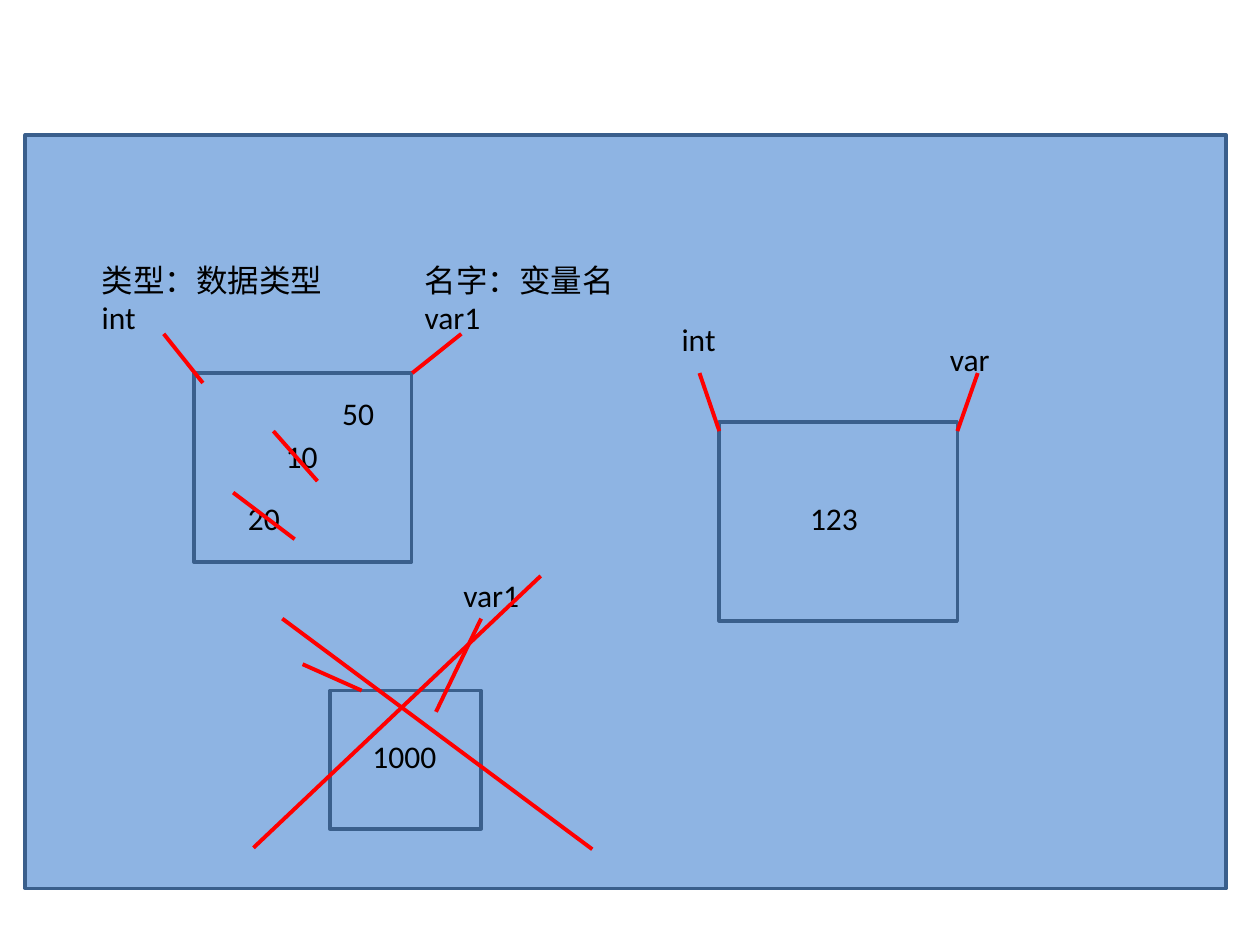
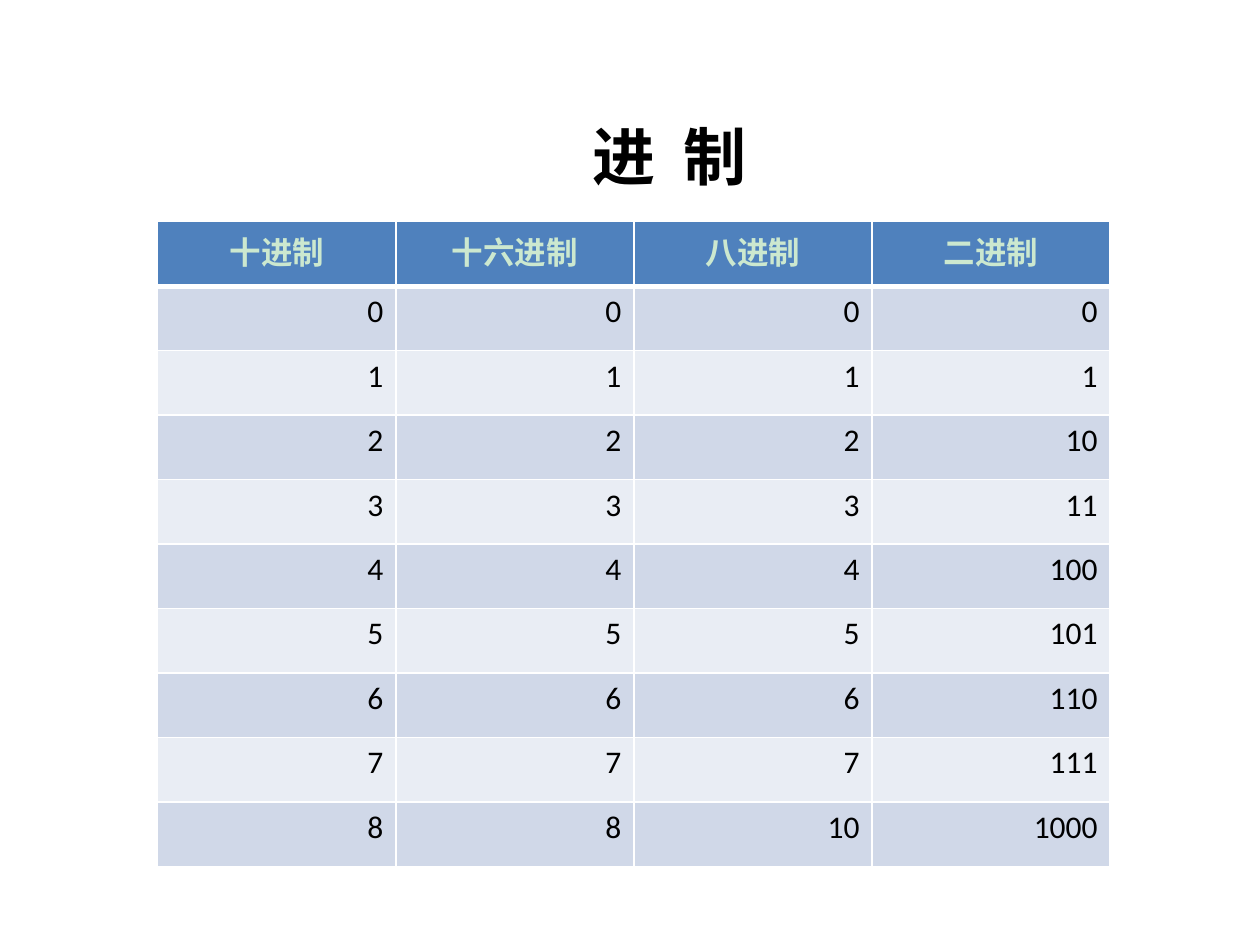
from lxml import etree
from pptx import Presentation
from pptx.dml.color import RGBColor
from pptx.enum.shapes import MSO_CONNECTOR, MSO_SHAPE
from pptx.enum.text import MSO_ANCHOR, PP_ALIGN
from pptx.oxml.ns import qn
from pptx.util import Cm, Pt

RECTANGLE = MSO_SHAPE.RECTANGLE
STRAIGHT = MSO_CONNECTOR.STRAIGHT
MIDDLE, TOP = MSO_ANCHOR.MIDDLE, MSO_ANCHOR.TOP
LEFT, CENTER, RIGHT = PP_ALIGN.LEFT, PP_ALIGN.CENTER, PP_ALIGN.RIGHT

WHITE = RGBColor(0xFF, 0xFF, 0xFF)
BLACK = RGBColor(0x00, 0x00, 0x00)
RED = RGBColor(0xFF, 0x00, 0x00)
SKY = RGBColor(0x8E, 0xB4, 0xE3)
OUTLINE = RGBColor(0x3A, 0x5F, 0x8C)
HEADER_BLUE = RGBColor(0x4F, 0x81, 0xBD)
HEADER_TEXT = RGBColor(0xCC, 0xE8, 0xCF)
BANDS = (RGBColor(0xD0, 0xD8, 0xE8), RGBColor(0xE9, 0xED, 0xF4))

LINE_HEIGHT = 1.02


class Painter:
    """Holds the shared style and draws on the current slide, in centimetres."""

    font_name = "Calibri"
    text_size = 18

    def __init__(self, deck):
        self.deck = deck
        self.page = None

    def new_page(self):
        self.page = self.deck.slides.add_slide(self.deck.slide_layouts[6])
        self.page.background.fill.solid()
        self.page.background.fill.fore_color.rgb = WHITE

    def style(self, para, size=text_size, color=BLACK, bold=False, align=LEFT):
        para.alignment = align
        font = para.font
        font.name, font.size, font.bold = self.font_name, Pt(size), bold
        font.color.rgb = color

    def memory_box(self, left, top, width, height):
        box = self.page.shapes.add_shape(
            RECTANGLE, Cm(left), Cm(top), Cm(width), Cm(height))
        box.shadow.inherit = False
        box.fill.solid()
        box.fill.fore_color.rgb = SKY
        box.line.color.rgb = OUTLINE
        box.line.width = Pt(2)

    def red_line(self, x1, y1, x2, y2):
        line = self.page.shapes.add_connector(
            STRAIGHT, Cm(x1), Cm(y1), Cm(x2), Cm(y2))
        line.line.color.rgb = RED
        line.line.width = Pt(2.25)
        etree.SubElement(line._element.spPr, qn("a:effectLst"))

    def text(self, left, top, width, *lines, height=None, anchor=TOP, **style):
        height = height or LINE_HEIGHT * len(lines)
        box = self.page.shapes.add_textbox(
            Cm(left), Cm(top), Cm(width), Cm(height))
        frame = box.text_frame
        frame.word_wrap = True
        frame.vertical_anchor = anchor
        frame.text = "\n".join(lines)
        for para in frame.paragraphs:
            self.style(para, **style)
        return frame

    def title(self, left, top, width, height, words, letter_gap):
        frame = self.text(left, top, width, words, height=height,
                          anchor=MIDDLE, size=36, bold=True, align=CENTER)
        span = frame.paragraphs[0].runs[0]
        span._r.get_or_add_rPr().set("spc", str(letter_gap * 100))

    def cell_borders(self, cell, **widths):
        """Draw white borders; widths are points by side letter, L R T B."""
        properties = cell._tc.get_or_add_tcPr()
        for side in "LRTB":
            border = etree.SubElement(properties, qn(f"a:ln{side}"),
                                      w=str(Pt(widths.get(side, 1))))
            fill = etree.SubElement(border, qn("a:solidFill"))
            etree.SubElement(fill, qn("a:srgbClr"), val=str(WHITE))

    def table(self, left, top, column_width, row_height, rows):
        column_count = len(rows[0])
        table = self.page.shapes.add_table(
            len(rows), column_count, Cm(left), Cm(top),
            Cm(column_width * column_count), Cm(row_height * len(rows))).table
        for r, row in enumerate(rows):
            table.rows[r].height = Cm(row_height)
            for c, value in enumerate(row):
                cell = table.cell(r, c)
                cell.text = value
                para = cell.text_frame.paragraphs[0]
                if r == 0:
                    self.cell_borders(cell, B=3)
                    self.style(para, color=HEADER_TEXT, bold=True, align=CENTER)
                else:
                    self.cell_borders(cell, T=3 if r == 1 else 1)
                    self.style(para, align=RIGHT)
                cell.fill.solid()
                cell.fill.fore_color.rgb = (
                    BANDS[(r - 1) % 2] if r else HEADER_BLUE)


def draw_variables(painter):
    painter.new_page()
    memory = (0.51, 2.72, 24.21, 15.19)
    variables = (
        (3.91, 7.52, 4.39, 3.81),
        (14.5, 8.51, 4.8, 4.01),
        (6.65, 13.92, 3.05, 2.79),
    )
    for box in (memory, *variables):
        painter.memory_box(*box)

    labels = (
        (1.8, 5.13, 5.11, "类型：数据类型", "int"),
        (8.31, 5.13, 5.21, "名字：变量名", "var1"),
        (5.51, 8.69, 1.8, "10"),
        (4.75, 9.93, 1.9, "20"),
        (6.65, 7.82, 1.22, "50"),
        (13.49, 6.32, 1.8, "int"),
        (18.9, 6.73, 2.39, "var"),
        (16.08, 9.93, 3.2, "123"),
        (9.09, 11.48, 2.84, "var1"),
        (7.26, 14.73, 1.83, "1000"),
    )
    for label in labels:
        painter.text(*label)

    pointers = (
        (4.09, 7.72, 3.3, 6.73),
        (8.31, 7.52, 9.3, 6.73),
        (14.5, 8.69, 14.1, 7.52),
        (19.3, 8.69, 19.71, 7.52),
        (7.29, 13.92, 6.1, 13.39),
        (8.79, 14.35, 9.7, 12.47),
    )
    strikes = (
        (5.51, 8.69, 6.4, 9.7),
        (4.7, 9.93, 5.94, 10.87),
        (5.69, 12.47, 11.94, 17.12),
        (10.9, 11.61, 5.11, 17.09),
    )
    for line in pointers + strikes:
        painter.red_line(*line)


def draw_number_bases(painter):
    painter.new_page()
    painter.title(9.5, 1.93, 8, 2.39, "进 制", letter_gap=4)
    header = ("十进制", "十六进制", "八进制", "二进制")
    numbers = [[format(n, base) for base in "dXob"] for n in range(9)]
    painter.table(3.18, 4.47, 4.8, 1.3, [header, *numbers])


def main():
    deck = Presentation()
    deck.slide_width, deck.slide_height = Cm(25.4), Cm(19.05)
    painter = Painter(deck)
    draw_variables(painter)
    draw_number_bases(painter)
    deck.save("out.pptx")


if __name__ == "__main__":
    main()
